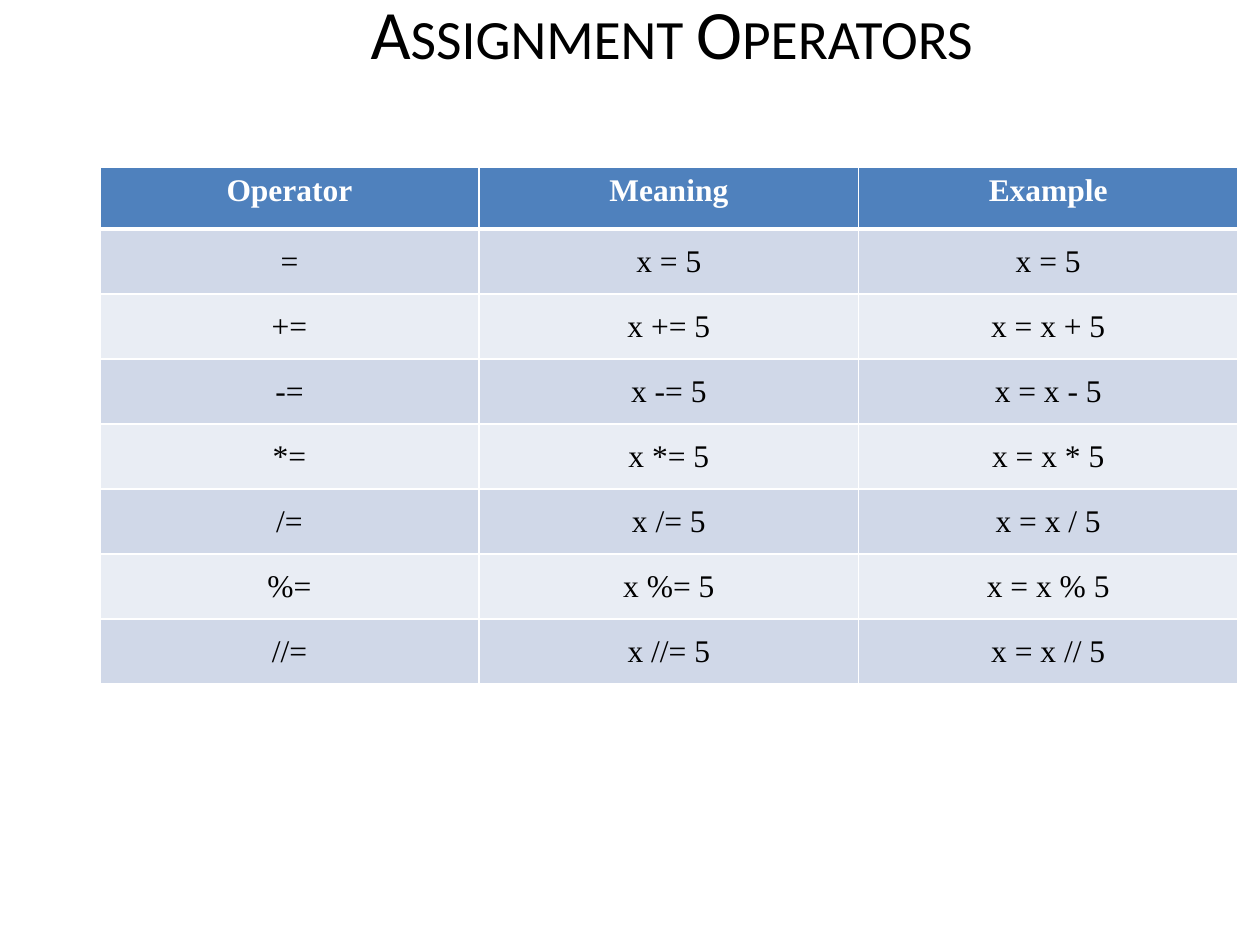
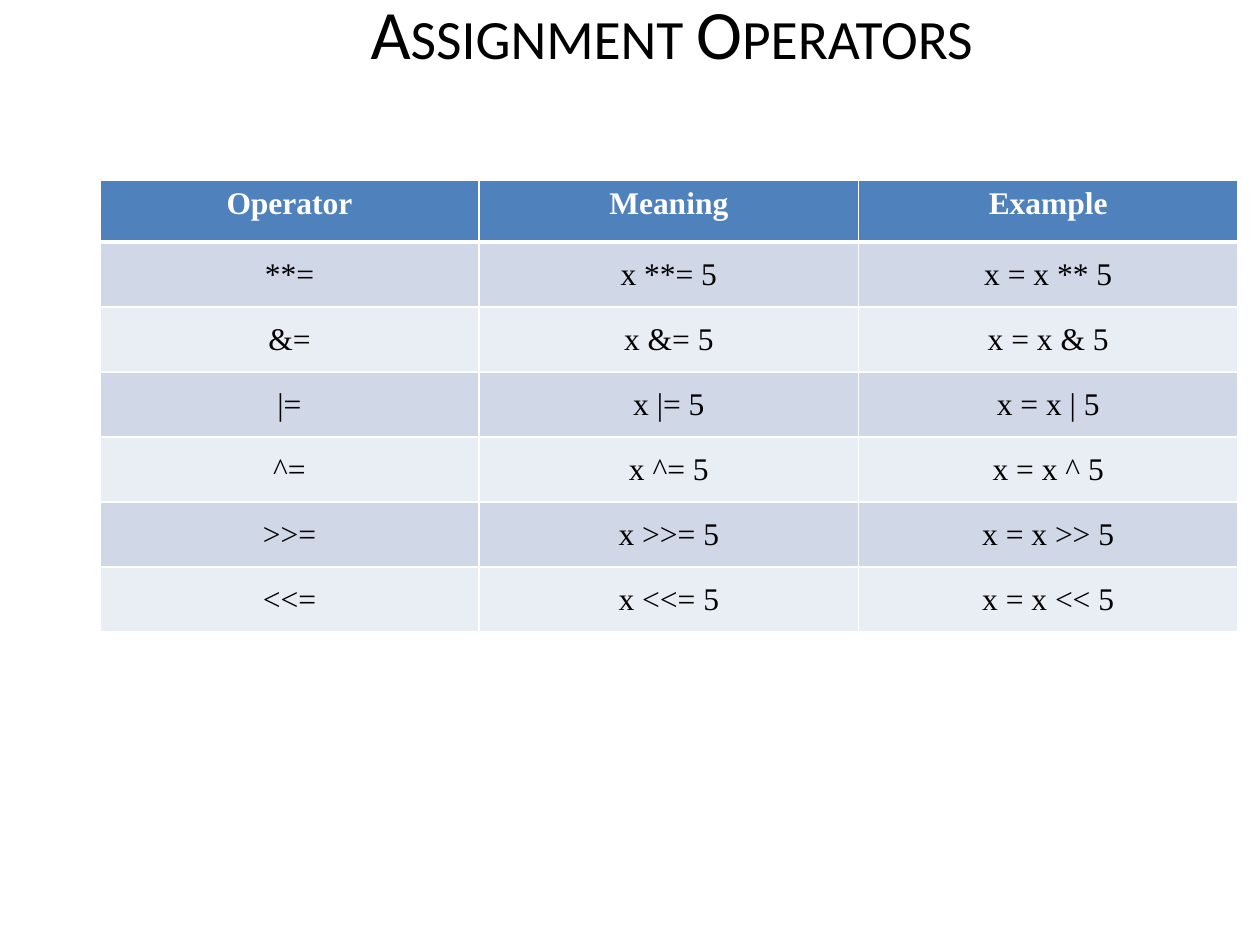
from pptx import Presentation
from pptx import util as u
from pptx.dml import color
from pptx.enum import text
from pptx.oxml import ns
from lxml import etree

COLORS = {
    "page": "FFFFFF",
    "title": "000000",
    "header": "4F81BD",
    "header_text": "FFFFFF",
    "body_text": "000000",
    "odd_row": "D0D8E8",
    "even_row": "E9EDF4",
    "border": "FFFFFF",
}
TITLE = "Assignment Operators"
TITLE_FONT = "Calibri"
TABLE_FONT = "Times New Roman"
HEADINGS = ("Operator", "Meaning", "Example")
TABLE_LEFT, COLUMN_WIDTH = 57, 216.8
HEADER_HEIGHT, ROW_HEIGHT = 35.3, 36
SLIDES = (
    (95.6, ("=", "+=", "-=", "*=", "/=", "%=", "//=")),
    (103, ("**=", "&=", "|=", "^=", ">>=", "<<=")),
)


def rgb(name):
    return color.RGBColor.from_string(COLORS[name])


def style_font(font, family, size, color_name, bold=False):
    font.name = family
    font.size = u.Pt(size)
    font.bold = bold
    font.color.rgb = rgb(color_name)


def add_title(slide):
    title = slide.shapes.title
    title.left, title.top = u.Pt(59.8), u.Pt(-7.2)
    title.width, title.height = u.Pt(648), u.Pt(51)
    frame = title.text_frame
    frame.text = TITLE
    frame.auto_size = text.MSO_AUTO_SIZE.NONE
    frame.vertical_anchor = text.MSO_ANCHOR.MIDDLE
    paragraph = frame.paragraphs[0]
    paragraph.alignment = text.PP_ALIGN.CENTER
    font = paragraph.runs[0].font
    style_font(font, TITLE_FONT, 39.6, "title")
    paragraph.runs[0]._r.get_or_add_rPr().set("cap", "small")


def set_borders(cell, top=1, bottom=1):
    properties = cell._tc.get_or_add_tcPr()
    widths = {"lnL": 1, "lnR": 1, "lnT": top, "lnB": bottom}
    for position, (side, width) in enumerate(widths.items()):
        line = etree.Element(ns.qn(f"a:{side}"), w=str(u.Pt(width)))
        fill = etree.SubElement(line, ns.qn("a:solidFill"))
        etree.SubElement(fill, ns.qn("a:srgbClr"), val=COLORS["border"])
        properties.insert(position, line)


def fill_cell(cell, label, fill_name, text_name, bold=False):
    cell.fill.solid()
    cell.fill.fore_color.rgb = rgb(fill_name)
    cell.text_frame.text = label
    paragraph = cell.text_frame.paragraphs[0]
    paragraph.alignment = text.PP_ALIGN.CENTER
    style_font(paragraph.runs[0].font, TABLE_FONT, 18, text_name, bold)


def add_header_cell(cell, heading):
    fill_cell(cell, heading, "header", "header_text", bold=True)
    set_borders(cell, bottom=3)


def add_body_cell(cell, label, row):
    fill_cell(cell, label, "odd_row" if row % 2 else "even_row", "body_text")
    cell.vertical_anchor = text.MSO_ANCHOR.MIDDLE
    cell.margin_left = cell.margin_right = u.Pt(18)
    cell.margin_top = cell.margin_bottom = u.Pt(8.6)
    set_borders(cell, top=3 if row == 1 else 1)


def operator_row(operator):
    meaning = f"x {operator} 5"
    binary = operator[:-1]
    return operator, meaning, f"x = x {binary} 5" if binary else meaning


def add_operator_table(slide, top, operators):
    height = HEADER_HEIGHT + ROW_HEIGHT * len(operators)
    table = slide.shapes.add_table(
        len(operators) + 1, len(HEADINGS), u.Pt(TABLE_LEFT), u.Pt(top),
        u.Pt(COLUMN_WIDTH * len(HEADINGS)), u.Pt(height)).table
    for column in table.columns:
        column.width = u.Pt(COLUMN_WIDTH)
    table.rows[0].height = u.Pt(HEADER_HEIGHT)
    for column, heading in enumerate(HEADINGS):
        add_header_cell(table.cell(0, column), heading)
    for row, operator in enumerate(operators, 1):
        table.rows[row].height = u.Pt(ROW_HEIGHT)
        for column, label in enumerate(operator_row(operator)):
            add_body_cell(table.cell(row, column), label, row)


def main():
    deck = Presentation()
    deck.slide_width, deck.slide_height = u.Pt(720), u.Pt(540)
    background = deck.slide_master.background.fill
    background.solid()
    background.fore_color.rgb = rgb("page")
    title_only = deck.slide_layouts[5]
    for table_top, operators in SLIDES:
        slide = deck.slides.add_slide(title_only)
        add_title(slide)
        add_operator_table(slide, table_top, operators)
    deck.save("out.pptx")


if __name__ == "__main__":
    main()
